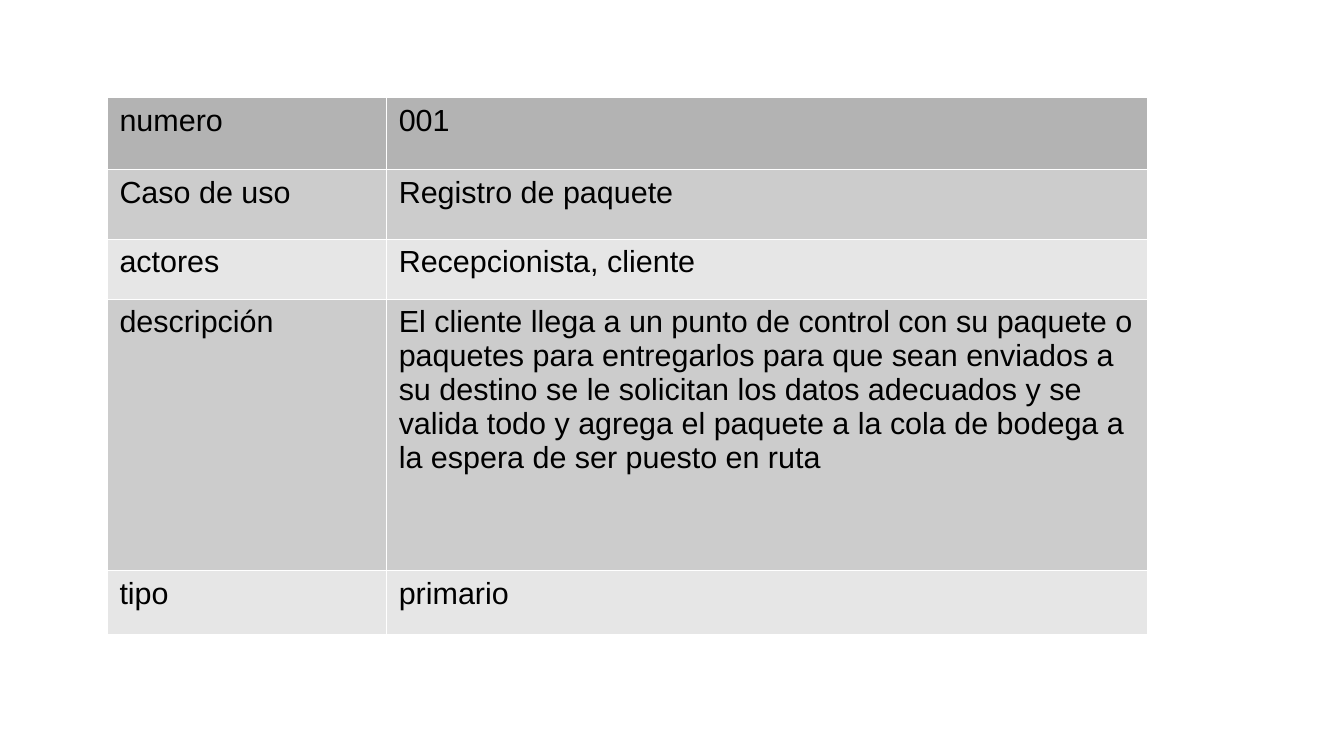
"""Build the use case slide: registering a package."""
from lxml.etree import SubElement
from pptx import Presentation
from pptx.dml.color import RGBColor
from pptx.oxml.ns import qn
from pptx.util import Inches, Pt

HEADER = RGBColor(0xB3, 0xB3, 0xB3)
ODD_BAND = RGBColor(0xCC, 0xCC, 0xCC)
EVEN_BAND = RGBColor(0xE6, 0xE6, 0xE6)
TEXT = RGBColor(0, 0, 0)
BORDER = RGBColor(0xFF, 0xFF, 0xFF)
BORDER_WIDTH = Pt(0.06)

USE_CASE = [
    ("numero", "001", 0.59),
    ("Caso de uso", "Registro de paquete", 0.57),
    ("actores", "Recepcionista, cliente", 0.49),
    ("descripción",
     "El cliente llega a un punto de control con su paquete o paquetes para "
     "entregarlos para que sean enviados a su destino se le solicitan los datos "
     "adecuados y se valida todo y agrega el paquete a la cola de bodega a la "
     "espera de ser puesto en ruta", 2.23),
    ("tipo", "primario", 0.52),
]
COLUMN_WIDTHS = (2.29, 6.24)
LEFT, TOP = 0.88, 0.8


def band_color(row):
    if row == 0:
        return HEADER
    return ODD_BAND if row % 2 else EVEN_BAND


def add_borders(cell):
    properties = cell._tc.get_or_add_tcPr()
    for side in ("a:lnL", "a:lnR", "a:lnT", "a:lnB"):
        line = SubElement(properties, qn(side), w=str(BORDER_WIDTH))
        fill = SubElement(line, qn("a:solidFill"))
        SubElement(fill, qn("a:srgbClr"), val=str(BORDER))


def fill_cell(cell, words, color):
    add_borders(cell)
    cell.fill.solid()
    cell.fill.fore_color.rgb = color
    cell.margin_left = cell.margin_right = Inches(0.1)
    cell.margin_top = cell.margin_bottom = Inches(0.05)
    run = cell.text_frame.paragraphs[0].add_run()
    run.text = words
    run.font.name = "Arial"
    run.font.size = Pt(18)
    run.font.bold = False
    run.font.color.rgb = TEXT


def main():
    deck = Presentation()
    deck.slide_width, deck.slide_height = Inches(11.02), Inches(6.2)
    slide = deck.slides.add_slide(deck.slide_layouts[6])
    width = sum(COLUMN_WIDTHS)
    height = sum(row_height for _, _, row_height in USE_CASE)
    table = slide.shapes.add_table(
        len(USE_CASE), len(COLUMN_WIDTHS),
        Inches(LEFT), Inches(TOP), Inches(width), Inches(height)).table
    for column, column_width in zip(table.columns, COLUMN_WIDTHS):
        column.width = Inches(column_width)
    for row, (field, value, row_height) in enumerate(USE_CASE):
        table.rows[row].height = Inches(row_height)
        for column, words in enumerate((field, value)):
            fill_cell(table.cell(row, column), words, band_color(row))
    deck.save("out.pptx")


if __name__ == "__main__":
    main()
